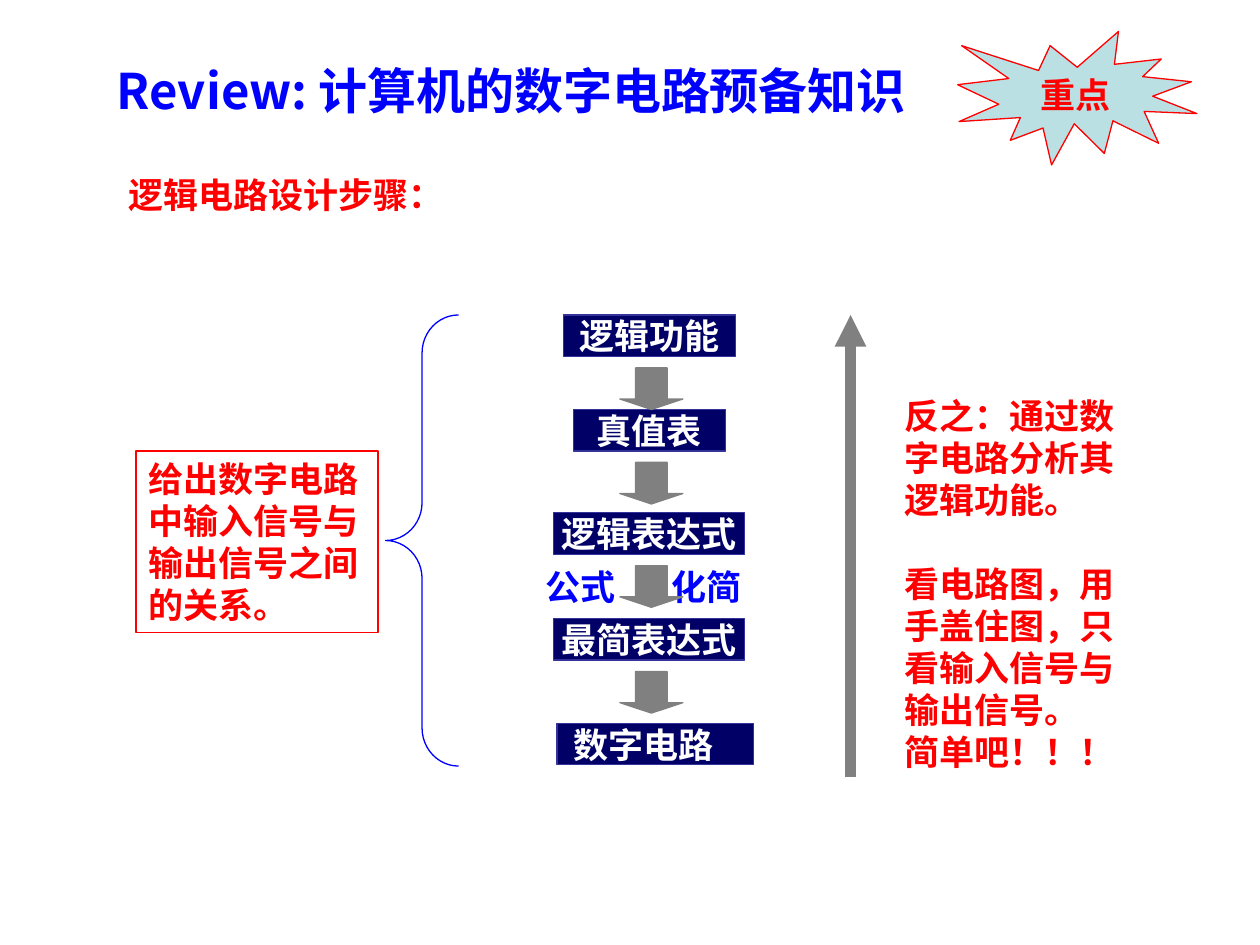
from lxml import etree
from pptx import Presentation
from pptx.dml.color import RGBColor
from pptx.enum.shapes import MSO_CONNECTOR, MSO_SHAPE
from pptx.enum.text import MSO_ANCHOR, PP_ALIGN
from pptx.oxml.ns import qn
from pptx.util import Inches, Pt

RECTANGLE = MSO_SHAPE.RECTANGLE
DOWN_ARROW = MSO_SHAPE.DOWN_ARROW
LEFT_BRACE = MSO_SHAPE.LEFT_BRACE
BURST = MSO_SHAPE.EXPLOSION1
STRAIGHT = MSO_CONNECTOR.STRAIGHT
TOP, MIDDLE = MSO_ANCHOR.TOP, MSO_ANCHOR.MIDDLE
LEFT, CENTER = PP_ALIGN.LEFT, PP_ALIGN.CENTER

FONT = "Noto Sans CJK SC"
COLORS = {
    "red": "FF0000", "blue": "0000FF", "white": "FFFFFF", "navy": "000066",
    "indigo": "333399", "gray": "808080", "pale": "BBE0E3",
}
# Text, left, top and width of each design step
STEPS = [
    ("逻辑功能", 4.47, 2.5, 1.37),
    ("真值表", 4.55, 3.25, 1.21),
    ("逻辑表达式", 4.39, 4.07, 1.52),
    ("最简表达式", 4.39, 4.91, 1.52),
    ("数字电路", 4.42, 5.74, 1.56),
]
STEP_HEIGHT = 0.33
ARROW_OFFSET = 0.42


def rgb(name):
    return RGBColor.from_string(COLORS[name])


def write(shape, lines, color, size=20, align=LEFT, anchor=TOP, margins=(0.1, 0.05)):
    frame = shape.text_frame
    frame.word_wrap = True
    frame.vertical_anchor = anchor
    frame.margin_left = frame.margin_right = Inches(margins[0])
    frame.margin_top = frame.margin_bottom = Inches(margins[1])
    frame.text = "\n".join(lines)
    for paragraph in frame.paragraphs:
        paragraph.alignment = align
        for run in paragraph.runs:
            font = run.font
            font.name, font.size, font.bold = FONT, Pt(size), True
            font.color.rgb = rgb(color)
            east_asian = etree.SubElement(font._element, qn("a:ea"))
            east_asian.set("typeface", FONT)
    return frame


def add_text(slide, box, lines, color, **style):
    label = slide.shapes.add_textbox(*map(Inches, box))
    return write(label, lines, color, **style)


def add_outlined(slide, kind, box, line, fill=None):
    """Add a preset shape with a thin line; without a fill it is see-through."""
    shape = slide.shapes.add_shape(kind, *map(Inches, box))
    shape.shadow.inherit = False
    if fill:
        shape.fill.solid()
        shape.fill.fore_color.rgb = rgb(fill)
    else:
        shape.fill.background()
    shape.line.color.rgb = rgb(line)
    shape.line.width = Pt(0.75)
    return shape


def add_heading(slide, title_box, subtitle_box, burst_box):
    add_text(slide, subtitle_box, ["逻辑电路设计步骤："], "red")
    burst = add_outlined(slide, BURST, burst_box, "red", "pale")
    frame = write(burst, ["重点"], "red", align=CENTER, anchor=MIDDLE)
    frame.word_wrap = False
    add_text(slide, title_box, ["Review: 计算机的数字电路预备知识"], "blue", size=28)


def add_steps(slide, arrow_left, arrow_width):
    for text, left, top, width in STEPS:
        box = (left, top, width, STEP_HEIGHT)
        step = add_outlined(slide, RECTANGLE, box, "indigo", "navy")
        frame = write(step, [text], "white", align=CENTER, margins=(0, 0))
    frame.margin_right = Inches(0.18)  # the last step sits left of centre

    simplify_top = STEPS[2][2] + ARROW_OFFSET
    frame = add_text(slide, (4.33, simplify_top, 1.75, STEP_HEIGHT),
                     ["公式\t化简"], "blue", margins=(0, 0))
    tabs = etree.SubElement(frame.paragraphs[0]._p.get_or_add_pPr(), qn("a:tabLst"))
    etree.SubElement(tabs, qn("a:tab"), pos=str(Inches(1)), algn="l")

    for _, _, top, _ in STEPS[:-1]:
        box = (arrow_left, top + ARROW_OFFSET, arrow_width, STEP_HEIGHT)
        arrow = add_outlined(slide, DOWN_ARROW, box, "gray", "gray")
        arrow.adjustments[0], arrow.adjustments[1] = 0.5, 0.25


def add_relation(slide, note_box, brace_box):
    """Add the framed note on the left and the brace spanning the steps."""
    note = add_outlined(slide, RECTANGLE, note_box, "red")
    write(note, ["给出数字电路中输入信号与输出信号之间的关系。"], "red")
    brace = add_outlined(slide, LEFT_BRACE, brace_box, "blue")
    brace.adjustments[0], brace.adjustments[1] = 0.52, 0.5


def add_reverse(slide, arrow_x, arrow_top, arrow_bottom, note_box):
    """Add the upward arrow and the note on reading a circuit backwards."""
    arrow = slide.shapes.add_connector(
        STRAIGHT, *map(Inches, (arrow_x, arrow_bottom, arrow_x, arrow_top)))
    arrow.line.color.rgb = rgb("gray")
    arrow.line.width = Pt(6)
    etree.SubElement(arrow.line._get_or_add_ln(), qn("a:tailEnd"), type="triangle")
    etree.SubElement(arrow._element.spPr, qn("a:effectLst"))

    frame = add_text(slide, note_box, [
        "反之：通过数字电路分析其逻辑功能。",
        "看电路图，用手盖住图，只看输入信号与输出信号。",
        "简单吧！！！",
    ], "red")
    frame.paragraphs[1].space_before = Pt(24)


def main():
    deck = Presentation()
    deck.slide_width, deck.slide_height = Inches(10), Inches(7.5)
    slide = deck.slides.add_slide(deck.slide_layouts[6])
    add_heading(slide, (0.83, 0.43, 8.09, 0.57), (0.92, 1.33, 5.33, 0.67),
                (7.6, 0.25, 1.9, 1.06))
    add_steps(slide, 4.92, 0.5)
    add_relation(slide, (1.08, 3.58, 1.92, 1.44), (3.06, 2.5, 0.58, 3.58))
    add_reverse(slide, 6.75, 2.5, 6.17, (7.08, 3.08, 1.92, 3.1))
    deck.save("out.pptx")


if __name__ == "__main__":
    main()
